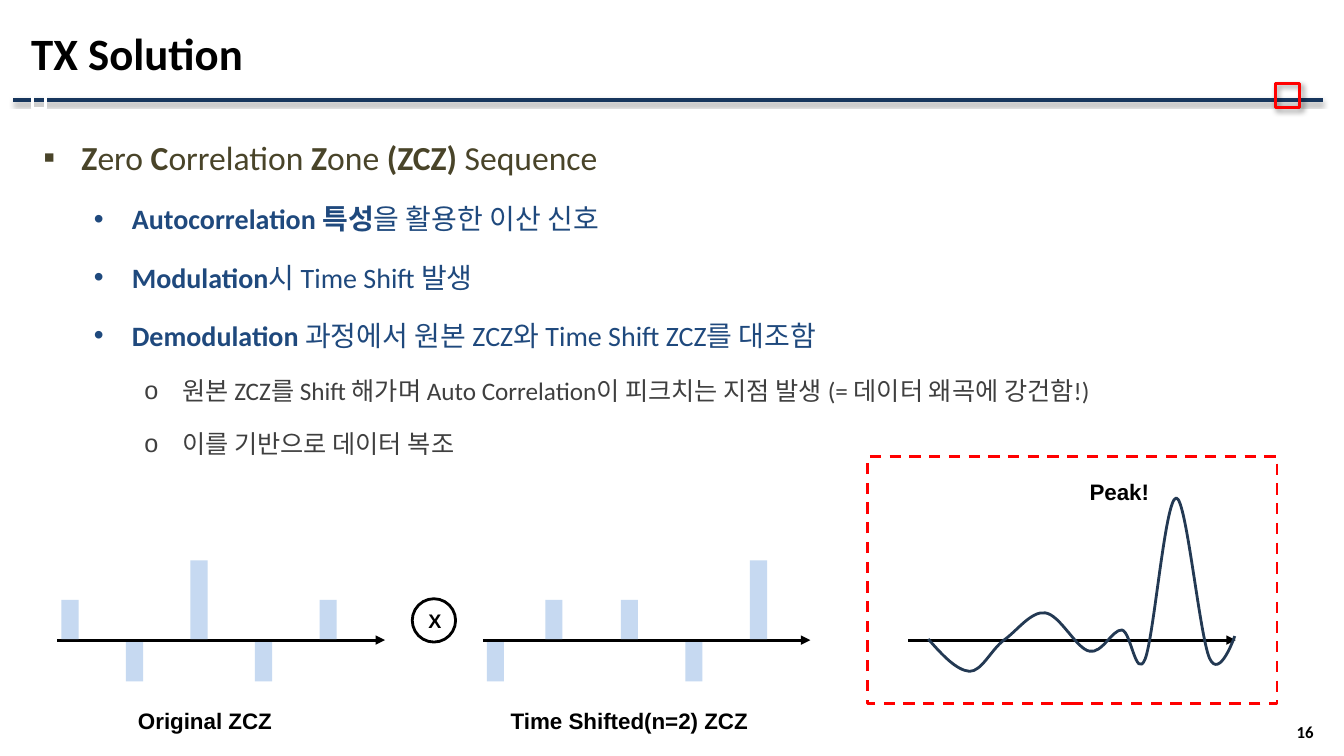
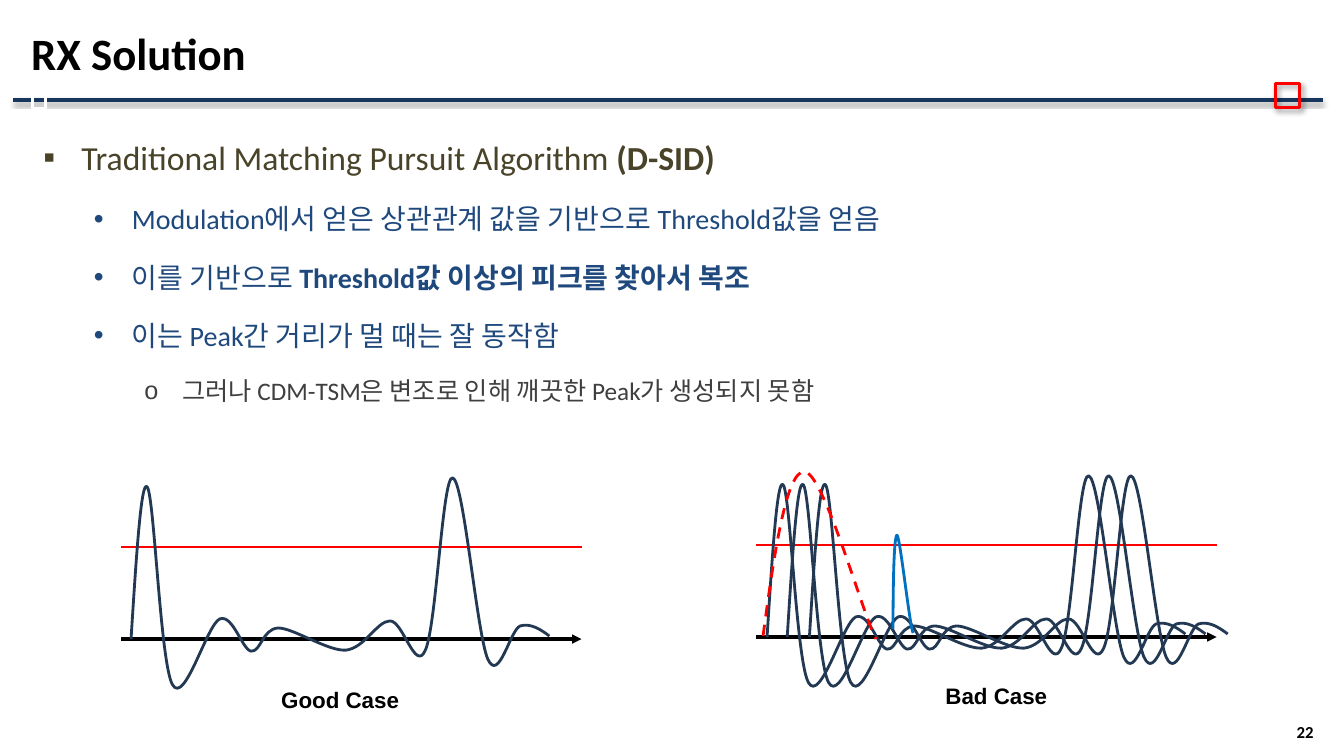
from lxml import etree
from pptx import Presentation
from pptx.dml.color import RGBColor
from pptx.enum.dml import MSO_LINE_DASH_STYLE
from pptx.enum.shapes import MSO_CONNECTOR_TYPE, MSO_SHAPE
from pptx.enum.text import MSO_ANCHOR, MSO_AUTO_SIZE, PP_ALIGN
from pptx.oxml.ns import qn
from pptx.util import Emu, Inches, Pt

RECTANGLE = MSO_SHAPE.RECTANGLE
OVAL = MSO_SHAPE.OVAL
STRAIGHT = MSO_CONNECTOR_TYPE.STRAIGHT
DASH = MSO_LINE_DASH_STYLE.DASH
LEFT = PP_ALIGN.LEFT
CENTER = PP_ALIGN.CENTER
RIGHT = PP_ALIGN.RIGHT
TOP = MSO_ANCHOR.TOP
MIDDLE = MSO_ANCHOR.MIDDLE
FIT_TEXT = MSO_AUTO_SIZE.SHAPE_TO_FIT_TEXT

SLIDE_WIDTH = Inches(40 / 3)
SLIDE_HEIGHT = Inches(7.5)
COLUMNS = 40
CELL = SLIDE_WIDTH / COLUMNS

BLACK = "000000"
WHITE = "FFFFFF"
RED = "FF0000"
BLUE = "0070C0"
RULE = "17365D"
WAVE = "233953"
BAR = "C6D9F1"

HEADING_FONT = "Calibri"
LABEL_FONT = "Arial"
LEVELS = (("▪", 24, "494429"), ("•", 20, "1F497D"), ("o", 18, "3F3F3F"))

BAR_WIDTH = 0.51
BAR_UNIT = 1.17
BAR_PITCH = 1.92

CORRELATION = (
    (0.6, -0.03),
    (1.02, 0.45), (1.44, 0.9), (1.83, 0.93),
    (2.19, 0.93), (2.46, 0.3), (2.85, 0),
    (3.24, -0.27), (3.66, -0.87), (4.08, -0.81),
    (4.53, -0.75), (5.01, 0.27), (5.4, 0.33),
    (5.76, 0.42), (6.09, -0.33), (6.36, -0.3),
    (6.63, -0.27), (6.78, 1.2), (7.05, 0.57),
    (7.32, -0.09), (7.65, -4.23), (7.98, -4.23),
    (8.28, -4.23), (8.67, -0.15), (8.97, 0.54),
    (9.27, 1.2), (9.72, -0.12), (9.72, -0.12),
)
TWO_PEAKS = (
    (0, 0),
    (0.15, -2.37), (0.3, -4.77), (0.48, -4.53),
    (0.69, -4.29), (0.87, 0.69), (1.23, 1.35),
    (1.59, 2.01), (2.25, -0.42), (2.64, -0.6),
    (3.03, -0.75), (3.3, 0.3), (3.57, 0.36),
    (3.87, 0.39), (3.9, -0.3), (4.38, -0.33),
    (4.83, -0.33), (5.85, 0.36), (6.39, 0.33),
    (6.96, 0.27), (7.32, -0.54), (7.71, -0.54),
    (8.1, -0.54), (8.46, 1.02), (8.76, 0.33),
    (9.09, -0.39), (9.27, -4.86), (9.57, -4.8),
    (9.9, -4.77), (10.29, -0.15), (10.62, 0.6),
    (10.95, 1.32), (11.28, -0.27), (11.58, -0.39),
    (11.88, -0.48), (12.18, -0.3), (12.45, -0.09),
)
MERGED_PEAK = (
    (0.21, -0.03),
    (0.54, -2.49), (0.9, -4.95), (1.44, -4.92),
    (2.01, -4.92), (3.18, -0.66), (3.57, 0.06),
)
FALSE_PEAK = (
    (4.08, -0.24),
    (4.08, -1.65), (4.11, -3.03), (4.2, -3.03),
    (4.29, -3), (4.59, -0.21), (4.68, -0.12),
)

TX_POINTS = (
    (0, (("Z", True), ("ero ", False), ("C", True), ("orrelation ", False),
         ("Z", True), ("one ", False), ("(ZCZ) ", True), ("Sequence", False))),
    (1, (("Autocorrelation 특성", True), ("을 활용한 이산 신호", False))),
    (1, (("Modulation", True), ("시 Time Shift 발생", False))),
    (1, (("Demodulation ", True), ("과정에서 원본 ZCZ와 Time Shift ZCZ를 대조함", False))),
    (2, (("원본 ZCZ를 Shift 해가며 Auto Correlation이 피크치는 지점 발생 (= 데이터 왜곡에 강건함!)", False),)),
    (2, (("이를 기반으로 데이터 복조", False),)),
)
RX_POINTS = (
    (0, (("Traditional Matching Pursuit Algorithm ", False), ("(D-SID)", True))),
    (1, (("Modulation에서 얻은 상관관계 값을 기반으로 Threshold값을 얻음", False),)),
    (1, (("이를 기반으로 ", False), ("Threshold값 이상의 피크를 찾아서 복조", True))),
    (1, (("이는 Peak간 거리가 멀 때는 잘 동작함", False),)),
    (2, (("그러나 CDM-TSM은 변조로 인해 깨끗한 Peak가 생성되지 못함", False),)),
)


def cells(count):
    return Emu(round(count * CELL))


def color(hex_string):
    return RGBColor.from_string(hex_string)


def add_child(parent, tag, **attributes):
    values = {name: str(value) for name, value in attributes.items()}
    return etree.SubElement(parent, qn(tag), values)


def set_shadow(shape, opacity=0, blur=0, distance=0, angle=0):
    effects = add_child(shape._element.spPr, "a:effectLst")
    if opacity:
        shadow = add_child(effects, "a:outerShdw", blurRad=Pt(blur), dist=Pt(distance),
                           dir=angle * 60000, algn="ctr", rotWithShape=0)
        shade = add_child(shadow, "a:srgbClr", val=BLACK)
        add_child(shade, "a:alpha", val=opacity * 1000)


def format_line(shape, line_color, width, dash=None):
    shape.line.color.rgb = color(line_color)
    shape.line.width = Pt(width)
    if dash is not None:
        shape.line.dash_style = dash


def add_line(slide, left, top, length, line_color, width, arrow=False, shadow=()):
    line = slide.shapes.add_connector(STRAIGHT, cells(left), cells(top),
                                      cells(left + length), cells(top))
    format_line(line, line_color, width)
    if arrow:
        add_child(line._element.spPr.find(qn("a:ln")), "a:tailEnd", type="triangle")
    set_shadow(line, *shadow)
    return line


def add_box(slide, preset, left, top, width, height, fill=None, line=None, shadow=()):
    box = slide.shapes.add_shape(preset, cells(left), cells(top), cells(width), cells(height))
    if fill:
        box.fill.solid()
        box.fill.fore_color.rgb = color(fill)
    else:
        box.fill.background()
    if line:
        format_line(box, *line)
    else:
        box.line.fill.background()
    set_shadow(box, *shadow)
    return box


def add_curve(slide, left, top, points, line_color=WAVE, dash=None):
    points = [(cells(left + x), cells(top + y)) for x, y in points]
    builder = slide.shapes.build_freeform(*points[0])
    builder.add_line_segments(points[3::3], close=False)
    curve = builder.convert_to_shape()
    segments = list(curve._element.iter(qn("a:lnTo")))
    for index, segment in enumerate(segments):
        bezier = etree.Element(qn("a:cubicBezTo"))
        for x, y in points[3 * index + 1:3 * index + 4]:
            add_child(bezier, "a:pt", x=x - curve.left, y=y - curve.top)
        segment.getparent().replace(segment, bezier)
    curve.fill.background()
    format_line(curve, line_color, 2, dash)
    set_shadow(curve)


def add_run(paragraph, text, font_name, size, text_color=BLACK, bold=True):
    run = paragraph.add_run()
    run.text = text
    run.font.name = font_name
    run.font.size = Pt(size)
    run.font.bold = bold
    run.font.color.rgb = color(text_color)


def add_text_box(slide, left, top, width, height, anchor=TOP):
    box = slide.shapes.add_textbox(cells(left), cells(top), cells(width), cells(height))
    box.text_frame.word_wrap = True
    box.text_frame.vertical_anchor = anchor
    return box.text_frame


def add_label(slide, left, top, text):
    frame = add_text_box(slide, left, top, 8.31, 1.35)
    frame.auto_size = FIT_TEXT
    paragraph = frame.paragraphs[0]
    paragraph.alignment = CENTER
    paragraph.line_spacing = 1.5
    add_run(paragraph, text, LABEL_FONT, 16)


def add_points(slide, points):
    frame = add_text_box(slide, 0.63, 3.45, 35.91, 1.68 + 1.53 * len(points))
    for index, (level, runs) in enumerate(points):
        bullet, size, text_color = LEVELS[level]
        paragraph = frame.paragraphs[0] if index == 0 else frame.add_paragraph()
        paragraph.level = level
        paragraph.line_spacing = 1.4
        paragraph.space_before = Pt(8)
        properties = paragraph._p.get_or_add_pPr()
        properties.set("marL", str(cells(1.5 * (level + 1))))
        properties.set("indent", str(-cells(1.13)))
        add_child(add_child(properties, "a:buClr"), "a:srgbClr", val=text_color)
        add_child(properties, "a:buFont", typeface=LABEL_FONT)
        add_child(properties, "a:buChar", char=bullet)
        for text, bold in runs:
            add_run(paragraph, text, HEADING_FONT, size, text_color, bold)


def add_axis(slide, left, top, length):
    add_line(slide, left, top, length, BLACK, 2.25, arrow=True)


def add_sequence(slide, left, top, offsets, values):
    add_axis(slide, left, top, 9.75)
    for offset, value in zip(offsets, values):
        height = BAR_UNIT * abs(value)
        bar_top = top - 0.03 - height if value > 0 else top + 0.06
        add_box(slide, RECTANGLE, left + offset, bar_top, BAR_WIDTH, height, BAR)


def add_threshold_plot(slide, left, top, wave_offsets):
    add_axis(slide, left, top, 13.71)
    add_line(slide, left, top - 2.73, 13.71, RED, 1.5)
    for offset in wave_offsets:
        add_curve(slide, left + offset, top, TWO_PEAKS)


def prepare_layout(presentation):
    layout = presentation.slide_layouts[5]
    for placeholder in list(layout.placeholders):
        if placeholder.placeholder_format.idx != 0:
            placeholder._element.getparent().remove(placeholder._element)
    return layout


def add_header_band(slide):
    band = (
        add_line(slide, 0.39, 2.97, 39, RULE, 3, shadow=(35, 3.1, 1.8, 90)),
        add_box(slide, RECTANGLE, 0.96, 2.76, 0.39, 0.48, line=(WHITE, 2.25)),
        add_box(slide, RECTANGLE, 37.95, 2.49, 0.72, 0.72, line=(RED, 2.25),
                shadow=(40, 4, 3, 45)),
    )
    for shape in band:
        slide.slide_layout.shapes._spTree.append(shape._element)


def add_slide(presentation, layout, title, number, points):
    slide = presentation.slides.add_slide(layout)
    heading = slide.shapes.title
    heading.left, heading.top = cells(0.63), cells(0.15)
    heading.width, heading.height = cells(38.76), cells(2.85)
    heading.text_frame.vertical_anchor = MIDDLE
    paragraph = heading.text_frame.paragraphs[0]
    paragraph.alignment = LEFT
    add_run(paragraph, title, HEADING_FONT, 32)
    paragraph = add_text_box(slide, 36.54, 21.42, 2.85, 0.72, MIDDLE).paragraphs[0]
    paragraph.alignment = RIGHT
    add_run(paragraph, number, HEADING_FONT, 12)
    add_points(slide, points)
    return slide


def draw_correlation(slide):
    original, shifted, result = (1.71 + 12.66 * panel for panel in range(3))
    axis_top = 19.05
    even_offsets = [0.12 + BAR_PITCH * index for index in range(5)]
    add_sequence(slide, original, axis_top, even_offsets, (1, -1, 2, -1, 1))
    add_sequence(slide, shifted, axis_top, (0.12, 1.86, 4.11, 6.03, 7.95), (-1, 1, 1, -1, 2))
    add_axis(slide, result, axis_top, 9.75)
    add_curve(slide, result, axis_top, CORRELATION)
    add_box(slide, RECTANGLE, 25.83, 13.59, 12.18, 7.35, line=(RED, 2, DASH))
    operator = add_box(slide, OVAL, 12.27, 17.82, 1.29, 1.29, WHITE, (BLACK, 2))
    operator.text_frame.vertical_anchor = MIDDLE
    paragraph = operator.text_frame.paragraphs[0]
    paragraph.alignment = CENTER
    add_run(paragraph, "X", LABEL_FONT, 14)
    add_label(slide, 2.04, 20.49, "Original ZCZ ")
    add_label(slide, 14.67, 20.49, "Time Shifted(n=2) ZCZ ")
    add_label(slide, 29.16, 13.68, "Peak!")


def draw_threshold_cases(slide):
    add_threshold_plot(slide, 3.6, 19.02, (0.3,))
    add_threshold_plot(slide, 22.5, 18.96, (0.33, 0.93, 1.59))
    add_curve(slide, 22.5, 18.96, MERGED_PEAK, RED, DASH)
    add_curve(slide, 22.5, 18.96, FALSE_PEAK, BLUE)
    add_label(slide, 5.97, 19.86, "Good Case")
    add_label(slide, 25.5, 19.74, "Bad Case")


def main():
    presentation = Presentation()
    presentation.slide_width = SLIDE_WIDTH
    presentation.slide_height = SLIDE_HEIGHT
    layout = prepare_layout(presentation)
    transmitter = add_slide(presentation, layout, "TX Solution", "16", TX_POINTS)
    add_header_band(transmitter)
    draw_correlation(transmitter)
    receiver = add_slide(presentation, layout, "RX Solution", "22", RX_POINTS)
    draw_threshold_cases(receiver)
    presentation.save("out.pptx")


if __name__ == "__main__":
    main()
